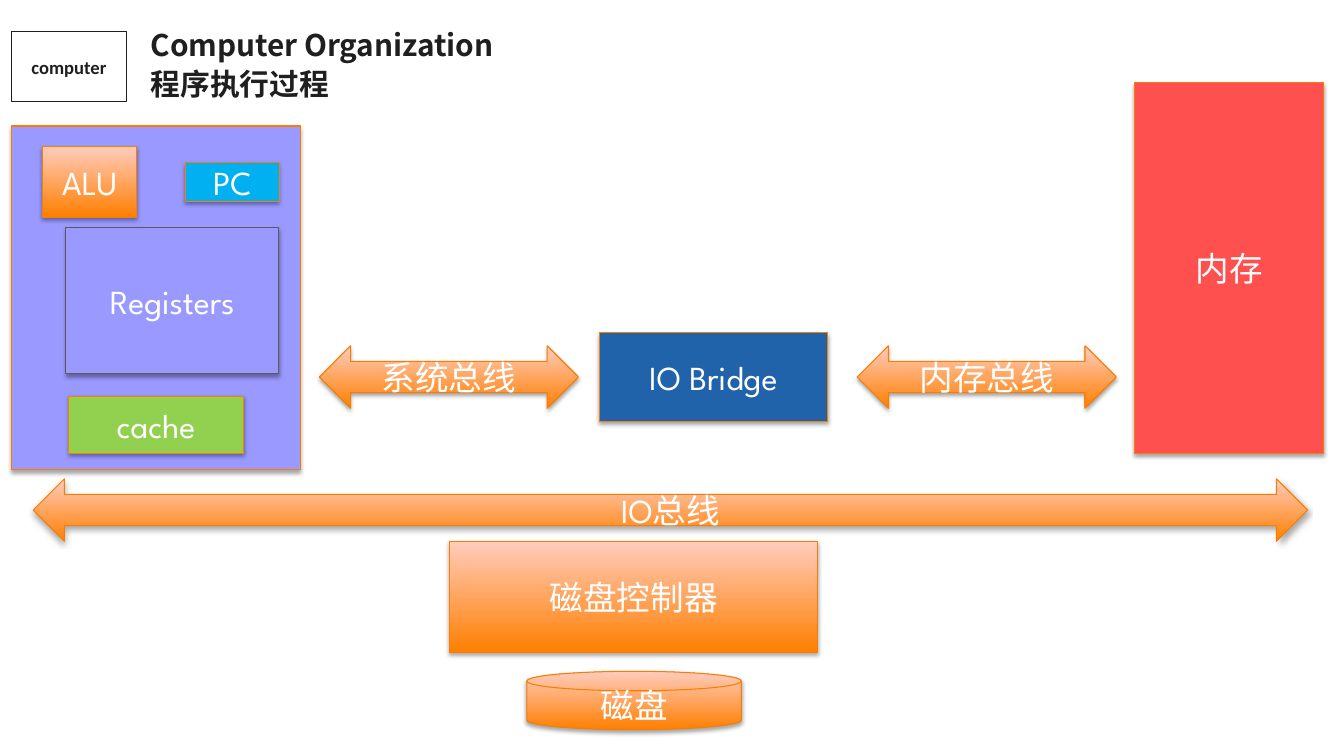
import pptx
import pptx.dml.color
import pptx.enum.shapes
import pptx.enum.text
import pptx.oxml
import pptx.oxml.ns
import pptx.util
from collections import namedtuple

Inches, Pt = pptx.util.Inches, pptx.util.Pt
SHAPE = pptx.enum.shapes.MSO_SHAPE
CENTER = pptx.enum.text.PP_ALIGN.CENTER
MIDDLE = pptx.enum.text.MSO_ANCHOR.MIDDLE
Box = namedtuple("Box", "left top width height")

ORANGE_LINE, INK, WHITE = "FA7C00", "1F1F1F", "FFFFFF"
GRADIENT = ("FF7F01", "FFCCBD")
LABEL_FONT = {"name": "League Spartan", "size": Pt(24), "bold": False}
BADGE_FONT = {"name": "Calibri", "size": Pt(13.3), "bold": True}
TITLE_FONT = {"name": "Noto Sans CJK SC", "size": Pt(21.3), "bold": True}
WIDE_MARGINS = {"margin_left": Inches(0.13), "margin_right": Inches(0.13),
                "margin_top": Inches(0.07), "margin_bottom": Inches(0.07)}
SHADOW = (
    f'<a:outerShdw {pptx.oxml.ns.nsdecls("a")} blurRad="{Pt(3.1)}" dist="{Pt(1.8)}" '
    'dir="5400000" rotWithShape="0"><a:srgbClr val="000000">'
    '<a:alpha val="35000"/></a:srgbClr></a:outerShdw>')


def color(value):
    return pptx.dml.color.RGBColor.from_string(value)


def apply(target, values):
    for name, value in values.items():
        setattr(target, name, value)


def within(box, left, top, width, height):
    """Return a part of box, given in percent of its width and height."""
    return Box(box.left + box.width * left / 100, box.top + box.height * top / 100,
               box.width * width / 100, box.height * height / 100)


def write(shape, lines, font, ink, alignment=CENTER, spacing=1.0):
    frame = shape.text_frame
    apply(frame, {"word_wrap": True, "vertical_anchor": MIDDLE, "text": "\n".join(lines)})
    for paragraph in frame.paragraphs:
        apply(paragraph, {"alignment": alignment, "line_spacing": spacing})
        for run in paragraph.runs:
            apply(run.font, font)
            run.font.color.rgb = color(ink)
            east_asian = pptx.oxml.parse_xml(
                f'<a:ea {pptx.oxml.ns.nsdecls("a")} typeface="{font["name"]}"/>')
            run.font._element.find(pptx.oxml.ns.qn("a:latin")).addnext(east_asian)


def paint(shape, fill):
    if fill is None:
        shape.fill.background()
    elif fill == GRADIENT:
        shape.fill.gradient()
        shape.fill.gradient_angle = 90
        for position, (stop, value) in enumerate(zip(shape.fill.gradient_stops, fill)):
            stop.position = position
            stop.color.rgb = color(value)
    else:
        shape.fill.solid()
        shape.fill.fore_color.rgb = color(fill)


def add_block(slide, box, text="", fill=GRADIENT, kind=SHAPE.RECTANGLE,
              line=ORANGE_LINE, font=LABEL_FONT, ink=WHITE, shadow=True):
    shape = slide.shapes.add_shape(kind, *map(Inches, box))
    paint(shape, fill)
    shape.line.color.rgb = color(line)
    shape.line.width = Pt(0.75)
    shape.shadow.inherit = False
    if shadow:
        effects = shape._element.spPr.find(pptx.oxml.ns.qn("a:effectLst"))
        effects.append(pptx.oxml.parse_xml(SHADOW))
    if text:
        write(shape, [text], font, ink)
    return shape


def add_header(slide, box):
    title = slide.shapes.title
    title_box = within(box, 20, 0, 80, 100)
    apply(title, {name: Inches(value) for name, value in title_box._asdict().items()})
    apply(title.text_frame, WIDE_MARGINS)
    write(title, ["Computer Organization", "程序执行过程"], TITLE_FONT, INK,
          pptx.enum.text.PP_ALIGN.LEFT, 1.1)
    badge = add_block(slide, within(box, 0, 17, 18.3, 75), "computer", None,
                      line=INK, font=BADGE_FONT, ink=INK, shadow=False)
    apply(badge.text_frame, WIDE_MARGINS)


def add_storage(slide, box):
    add_block(slide, within(box, 0, 0, 100, 59), "磁盘控制器")
    add_block(slide, within(box, 21, 69, 58.2, 31), "磁盘",
              kind=SHAPE.FLOWCHART_MAGNETIC_DISK)


def add_bus(slide, box, text):
    add_block(slide, box, text, kind=SHAPE.LEFT_RIGHT_ARROW)


def add_bridge_row(slide, box):
    add_block(slide, within(box, 35.1, 0, 28.7, 100), "IO Bridge", "2063AA")
    for left, text in ((67.5, "内存总线"), (0, "系统总线")):
        add_bus(slide, within(box, left, 14.8, 32.5, 70.5), text)


def add_processor(slide, box):
    violet = "9999FF"
    add_block(slide, box, fill=violet)
    add_block(slide, within(box, 19, 29.6, 73.5, 42.5), "Registers", violet, line="5A5A5A")
    add_block(slide, within(box, 20, 78.6, 60.3, 16.7), "cache", "92D050")
    add_block(slide, within(box, 11, 6, 32.4, 20.5), "ALU")
    add_block(slide, within(box, 60.3, 10.6, 32.4, 11.4), "PC", "00B0F0")


def main():
    presentation = pptx.Presentation()
    apply(presentation, {"slide_width": Inches(13.34), "slide_height": Inches(7.5)})
    slide = presentation.slides.add_slide(presentation.slide_layouts[5])
    add_header(slide, Box(0.11, 0.16, 6.28, 0.92))
    add_storage(slide, Box(4.46, 5.37, 3.66, 1.87))
    add_bus(slide, Box(0.33, 4.75, 12.65, 0.62), "IO总线")
    add_bridge_row(slide, Box(3.17, 3.3, 7.91, 0.88))
    add_processor(slide, Box(0.11, 1.25, 2.87, 3.41))
    add_block(slide, Box(11.26, 0.82, 1.88, 3.68), "内存", "FF5050")
    presentation.save("out.pptx")


if __name__ == "__main__":
    main()
